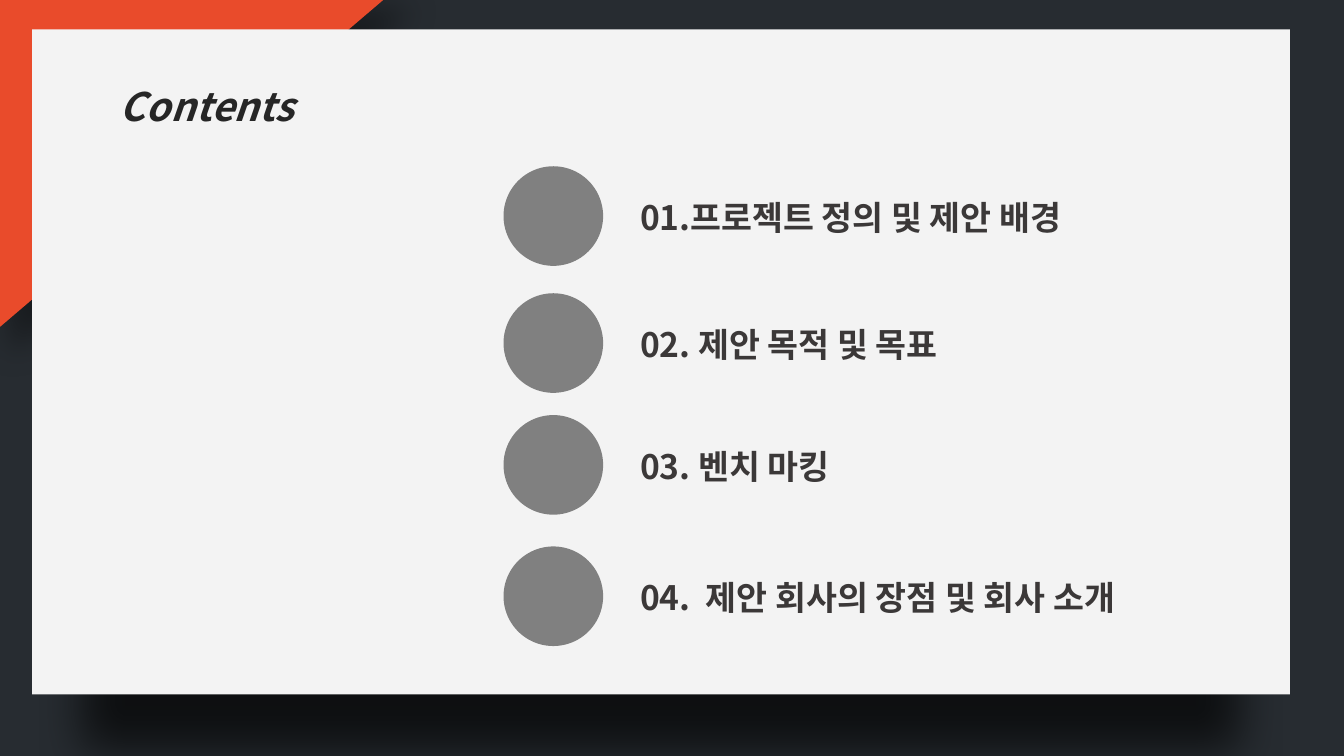
from lxml import etree
from pptx import Presentation
from pptx.dml.color import RGBColor
from pptx.enum import shapes as sh, text as tx
from pptx.oxml import ns
from pptx.util import Cm, Pt

FONT = "Noto Sans CJK KR"


def draw(kind, left, top, wide, high, fill, cast=None):
    """Add a borderless shape; cast is (alpha %, blur pt, distance pt, degrees, scale %)."""
    form = slide.shapes.add_shape(kind, Cm(left), Cm(top), Cm(wide), Cm(high))
    form.fill.solid()
    form.fill.fore_color.rgb = RGBColor.from_string(fill)
    form.line.fill.background()
    form.shadow.inherit = False
    if cast:
        alpha, blur, dist, angle, scale = cast
        effects = form._element.spPr.find(ns.qn("a:effectLst"))
        outer = etree.SubElement(
            effects, ns.qn("a:outerShdw"), blurRad=str(Pt(blur)), dist=str(Pt(dist)),
            dir=str(angle * 60000), sx=str(scale * 1000), sy=str(scale * 1000),
            algn="ctr", rotWithShape="0")
        tone = etree.SubElement(outer, ns.qn("a:srgbClr"), val="000000")
        etree.SubElement(tone, ns.qn("a:alpha"), val=str(alpha * 1000))
    return form


def write(box, words, size, color, slant=False):
    frame = box.text_frame
    frame.word_wrap = True
    frame.auto_size = tx.MSO_AUTO_SIZE.NONE
    frame.vertical_anchor = tx.MSO_ANCHOR.MIDDLE
    para = frame.paragraphs[0]
    para.alignment = tx.PP_ALIGN.LEFT
    para.line_spacing = 1.5
    run = para.add_run()
    run.text = words
    font = run.font
    font.name, font.size, font.bold, font.italic = FONT, Pt(size), True, slant
    font.color.rgb = RGBColor.from_string(color)
    etree.SubElement(run._r.get_or_add_rPr(), ns.qn("a:ea"), typeface=FONT)


deck = Presentation()
deck.slide_width, deck.slide_height = Cm(33.87), Cm(19.05)
slide = deck.slides.add_slide(deck.slide_layouts[5])
back = slide.background.fill
back.solid()
back.fore_color.rgb = RGBColor.from_string("272C31")

# Backdrop
corner = draw(sh.MSO_SHAPE.RIGHT_TRIANGLE, -0.2, -0.23, 10.13, 8.64, "E94B2B",
              (40, 23, 19, 45, 100))
corner._element.spPr.xfrm.set("flipV", "1")
draw(sh.MSO_SHAPE.RECTANGLE, 0.81, 0.74, 31.7, 16.76, "F3F3F3", (64, 33, 58, 90, 92))

# Title, brought in front of the panel
title = slide.shapes.title
title.left, title.top, title.width, title.height = Cm(2.77), Cm(1.45), Cm(16.94), Cm(1.83)
write(title, "Contents", 28, "262626", True)
slide.shapes._spTree.append(title._element)

# Agenda
items = [
    (4.19, "01.프로젝트 정의 및 제안 배경"),
    (7.39, "02. 제안 목적 및 목표"),
    (10.46, "03. 벤치 마킹"),
    (13.77, "04.  제안 회사의 장점 및 회사 소개"),
]
for top, words in items:
    draw(sh.MSO_SHAPE.OVAL, 12.69, top, 2.51, 2.51, "808080")
    label = slide.shapes.add_textbox(Cm(15.88), Cm(top + 0.23), Cm(14.76), Cm(1.6))
    write(label, words, 24, "3B3838")

deck.save("out.pptx")
